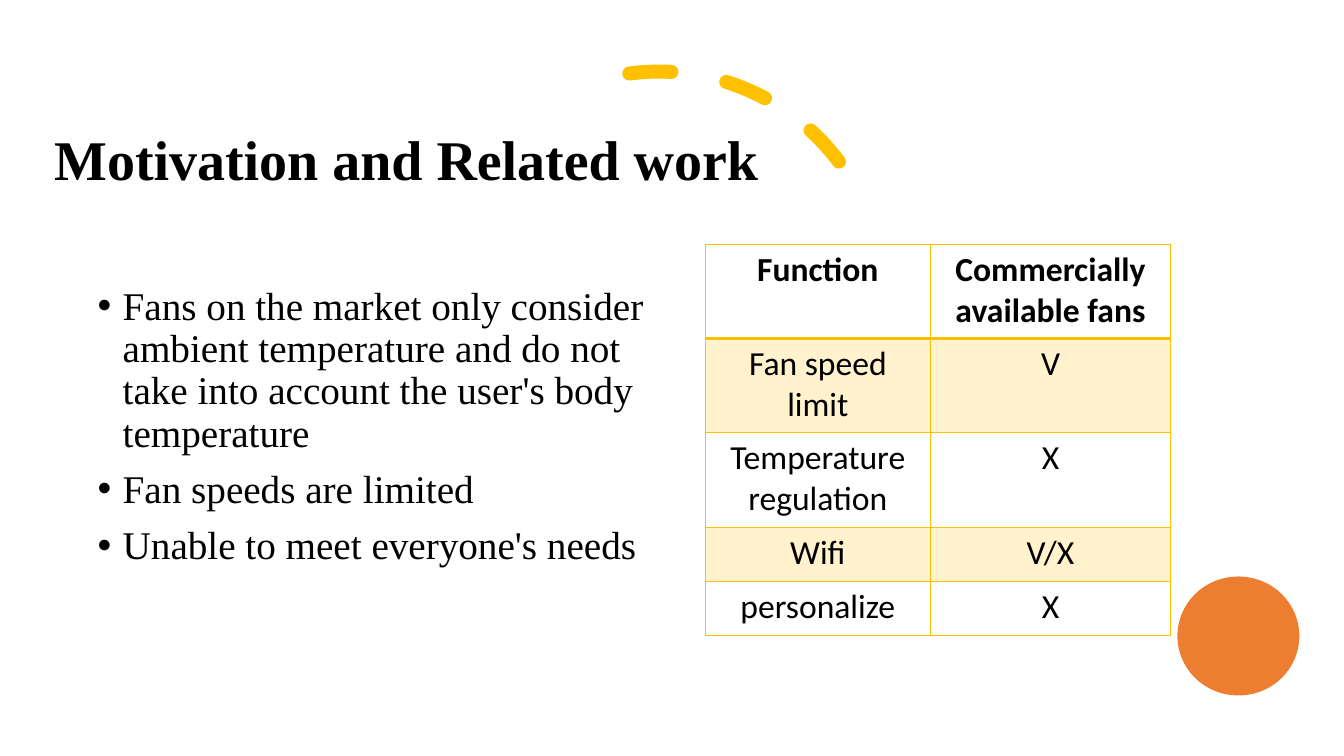
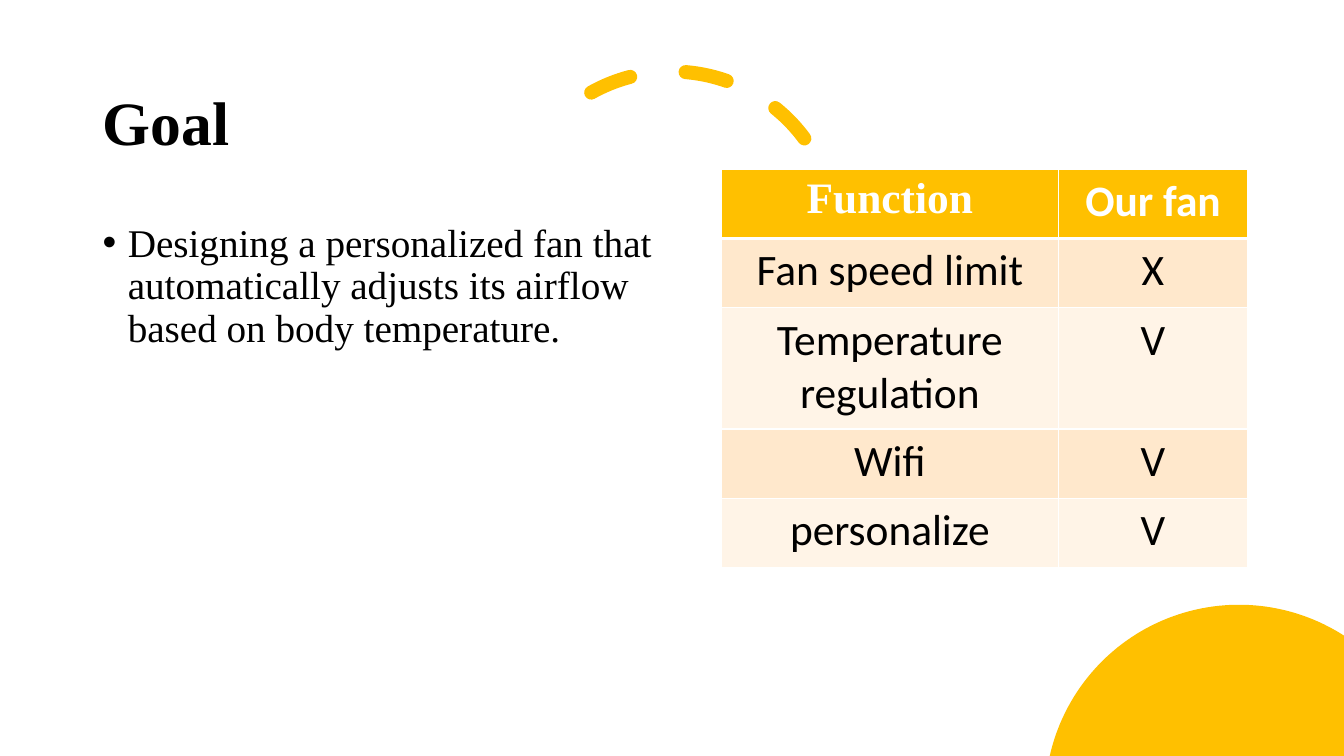
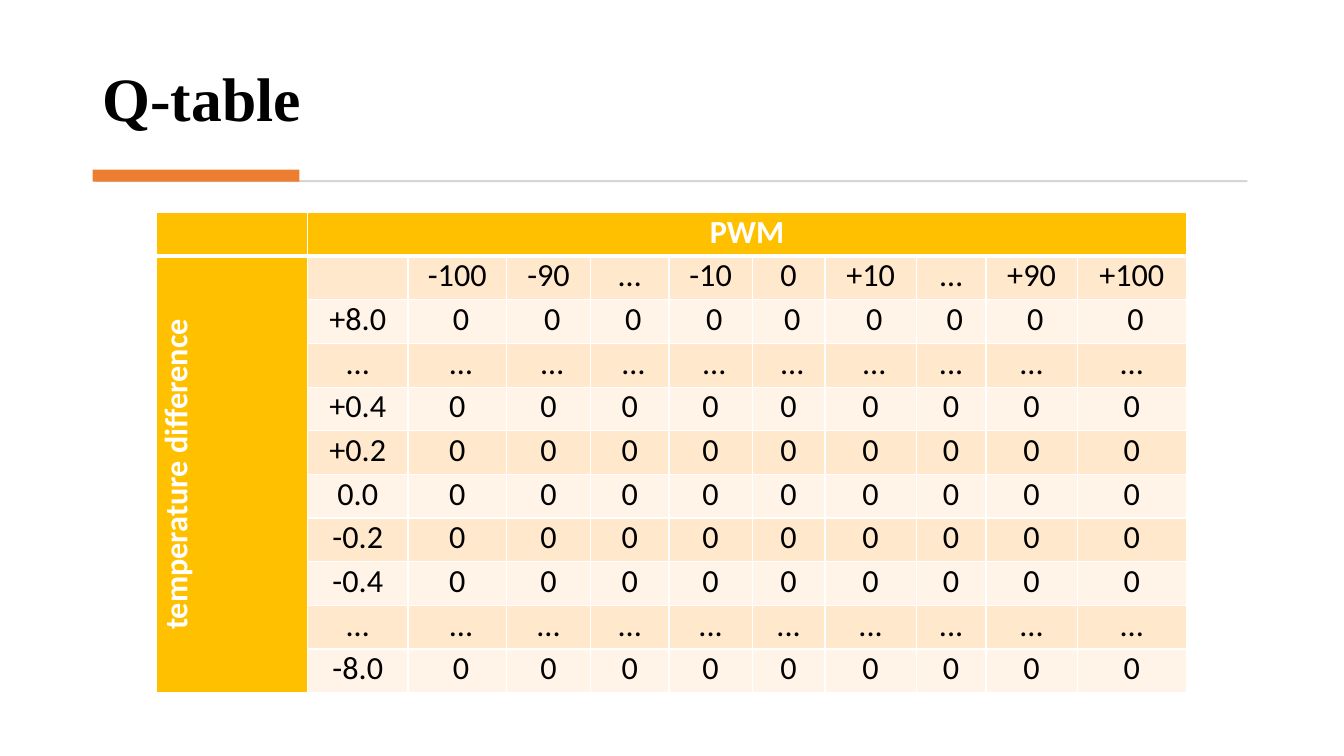
from math import acos, asin, cos, pi, sin

from lxml.etree import SubElement
from pptx import Presentation
from pptx.dml.color import RGBColor
from pptx.enum.dml import MSO_LINE
from pptx.enum.shapes import MSO_SHAPE
from pptx.enum.text import MSO_ANCHOR, PP_ALIGN
from pptx.oxml.ns import qn
from pptx.util import Pt

AMBER = RGBColor(0xFF, 0xC0, 0x00)
ORANGE = RGBColor(0xED, 0x7D, 0x31)
GREY = RGBColor(0xD5, 0xD5, 0xD5)
CREAM = RGBColor(0xFF, 0xF2, 0xCC)
PEACH = RGBColor(0xFF, 0xE8, 0xCC)
PALE = RGBColor(0xFF, 0xF4, 0xE7)
WHITE = RGBColor(0xFF, 0xFF, 0xFF)
BLACK = RGBColor(0x00, 0x00, 0x00)

SERIF, SANS = "Times New Roman", "Calibri"
SLIDE_WIDTH, SLIDE_HEIGHT = 960, 540

MOTIVATION = [
    "Fans on the market only consider ambient temperature and do not take into account the user's body temperature",
    "Fan speeds are limited",
    "Unable to meet everyone's needs",
]
GOAL = ["Designing a personalized fan that automatically adjusts its airflow based on body temperature."]

MARKET_FANS = [
    ["Function", "Commercially available fans"],
    ["Fan speed limit", "V"],
    ["Temperature regulation", "X"],
    ["Wifi", "V/X"],
    ["personalize", "X"],
]
OUR_FAN = [
    ["Function", "Our fan"],
    ["Fan speed limit", "X"],
    ["Temperature regulation", "V"],
    ["Wifi", "V"],
    ["personalize", "V"],
]
ZEROS = ["0"] * 9
Q_VALUES = [
    ["", "PWM"] + [""] * 9,
    ["temperature difference", "", "-100", "-90", "…", "-10", "0", "+10", "…", "+90", "+100"],
    ["", "+8.0"] + [" 0"] * 9,
    ["", "..."] + [" …"] * 3 + [" ..."] * 3 + ["..."] * 3,
    ["", "+0.4"] + ZEROS,
    ["", "+0.2"] + ZEROS,
    ["", "0.0"] + ZEROS,
    ["", "-0.2"] + ZEROS,
    ["", "-0.4"] + ZEROS,
    ["", "…", " ..."] + ["..."] * 8,
    ["", "-8.0", " 0"] + ZEROS[1:],
]

MARKET_STYLE = {
    "size": 24, "margins": (7.2, 3.6), "header_fill": WHITE, "header_text": BLACK,
    "bands": (CREAM, WHITE), "border": AMBER, "header_rule": 2, "header_columns": 0,
}
OUR_STYLE = {
    "size": 31, "margins": (9.36, 4.32), "header_fill": AMBER, "header_text": WHITE,
    "bands": (PEACH, PALE), "border": WHITE, "header_rule": 3, "header_columns": 0,
}
Q_STYLE = {**OUR_STYLE, "size": 23, "margins": (5.04, 0), "header_columns": 1}


def apply_format(target, values):
    for name, value in values.items():
        setattr(target, name, value)


def set_font(font, size, name, color, bold=False):
    apply_format(font, {"size": Pt(size), "name": name, "bold": bold})
    font.color.rgb = color


def points(box):
    return [Pt(length) for length in box]


def add_text(slide, box, anchor):
    frame = slide.shapes.add_textbox(*points(box)).text_frame
    apply_format(frame, {"word_wrap": True, "vertical_anchor": anchor})
    return frame


def add_title(slide, text, box, size=44, anchor=MSO_ANCHOR.MIDDLE):
    paragraph = add_text(slide, box, anchor).paragraphs[0]
    apply_format(paragraph, {"text": text, "line_spacing": 0.9})
    set_font(paragraph.runs[0].font, size, SERIF, BLACK, True)


def add_bullets(slide, items, box):
    frame = add_text(slide, box, MSO_ANCHOR.TOP)
    for index, item in enumerate(items):
        paragraph = frame.add_paragraph() if index else frame.paragraphs[0]
        apply_format(paragraph, {"text": item, "line_spacing": 0.9, "space_before": Pt(10)})
        set_font(paragraph.runs[0].font, 28, SERIF, BLACK)
        properties = paragraph._p.get_or_add_pPr()
        properties.set("marL", str(Pt(18)))
        properties.set("indent", str(-Pt(18)))
        SubElement(properties, qn("a:buFont"), typeface="Arial")
        SubElement(properties, qn("a:buChar"), char="•")


def fill_plain(shape, color):
    shape.shadow.inherit = False
    shape.fill.solid()
    shape.fill.fore_color.rgb = color
    shape.line.fill.background()


def add_plain(slide, kind, box, color):
    fill_plain(slide.shapes.add_shape(kind, *points(box)), color)


def add_dashed_arc(slide, box, angles, rotation=0, flipped=False):
    arc = slide.shapes.add_shape(MSO_SHAPE.ARC, *points(box))
    for index, angle in enumerate(angles):
        arc.adjustments[index] = angle * 0.6
    arc.rotation = rotation
    if flipped:
        arc.element.spPr.find(qn("a:xfrm")).set("flipV", "1")
    arc.shadow.inherit = False
    arc.fill.background()
    arc.line.color.rgb = AMBER
    apply_format(arc.line, {"width": Pt(10), "dash_style": MSO_LINE.DASH})
    arc.line._get_or_add_ln().set("cap", "rnd")


def add_cut_circle(slide, center_x, center_y, radius):
    start = pi - asin((center_y - SLIDE_HEIGHT) / radius)
    end = acos((SLIDE_WIDTH - center_x) / radius)
    steps = 80
    turns = [start + (end - start) * step / steps for step in range(steps + 1)]
    rim = [(center_x + radius * cos(turn), center_y - radius * sin(turn)) for turn in turns]
    outline = [points(corner) for corner in rim + [(SLIDE_WIDTH, SLIDE_HEIGHT)]]
    builder = slide.shapes.build_freeform(*outline[0])
    builder.add_line_segments(outline[1:], close=True)
    fill_plain(builder.convert_to_shape(), AMBER)


def set_borders(cell, color, widths):
    properties = cell._tc.get_or_add_tcPr()
    for side, width in zip("LRTB", widths):
        line = SubElement(properties, qn(f"a:ln{side}"), w=str(Pt(width)))
        solid = SubElement(line, qn("a:solidFill"))
        SubElement(solid, qn("a:srgbClr"), val=str(color))


def add_grid(slide, rows, left, top, widths, heights, style, corner_font=SANS):
    box = points((left, top, sum(widths), sum(heights)))
    grid = slide.shapes.add_table(len(rows), len(widths), *box).table
    apply_format(grid, {"first_row": False, "horz_banding": False})
    for column, width in zip(grid.columns, widths):
        column.width = Pt(width)
    side, edge = points(style["margins"])
    for r, (texts, height) in enumerate(zip(rows, heights)):
        grid.rows[r].height = Pt(height)
        for c, text in enumerate(texts):
            cell = grid.cell(r, c)
            header = r == 0 or c < style["header_columns"]
            above = style["header_rule"] if r == 1 else 1
            below = style["header_rule"] if r == 0 else 1
            set_borders(cell, style["border"], (1, 1, above, below))
            cell.fill.solid()
            cell.fill.fore_color.rgb = style["header_fill"] if header else style["bands"][(r - 1) % 2]
            apply_format(cell, {"margin_left": side, "margin_right": side,
                                "margin_top": edge, "margin_bottom": edge})
            paragraph = cell.text_frame.paragraphs[0]
            apply_format(paragraph, {"text": text, "alignment": PP_ALIGN.CENTER})
            font = paragraph.runs[0].font if text else paragraph.font
            set_font(font, style["size"], corner_font if r == c == 0 else SANS,
                     style["header_text"] if header else BLACK, header)
    return grid


def build_motivation(slide):
    add_dashed_arc(slide, (309.6, 51.1, 321.8, 321.8), (270, 334.89), 233.1, True)
    add_title(slide, "Motivation and Related work", (31.7, 64.1, 828, 104.4), 40)
    add_bullets(slide, MOTIVATION, (62.6, 200.9, 424.8, 342.7))
    add_plain(slide, MSO_SHAPE.OVAL, (841, 411.8, 87.1, 85), ORANGE)
    add_grid(slide, MARKET_FANS, 504, 174.4, (160.4, 172), [67.4] * 3 + [38.7] * 2, MARKET_STYLE)


def build_goal(slide):
    add_cut_circle(slide, 885, 570.6, 138.6)
    add_dashed_arc(slide, (362.2, 51.1, 235.4, 235.4), (240.7, 0))
    add_title(slide, "Goal", (66.2, 37.4, 414, 104.4))
    add_bullets(slide, GOAL, (66.2, 156.2, 414, 329.8))
    add_grid(slide, OUR_FAN, 515.2, 120.8, (240.8, 135.2), [49.5] * 2 + [86.6] + [49.5] * 2,
             OUR_STYLE, SERIF)


def build_q_table(slide):
    add_title(slide, "Q-table", (66.2, 20.2, 827.3, 79.9), anchor=MSO_ANCHOR.BOTTOM)
    add_plain(slide, MSO_SHAPE.RECTANGLE, (68.4, 128.7, 822.6, 1.4), GREY)
    add_plain(slide, MSO_SHAPE.RECTANGLE, (66.2, 121.2, 147.6, 8.6), ORANGE)
    widths = (108, 71.6, 70.6, 59.8, 56.2, 59.4, 52, 65.2, 49.8, 65.2, 78)
    grid = add_grid(slide, Q_VALUES, 111.8, 151.8, widths, [31.2] * len(Q_VALUES), Q_STYLE)
    grid.cell(0, 1).merge(grid.cell(0, 10))
    grid.cell(1, 0).merge(grid.cell(10, 0))
    grid.cell(1, 0)._tc.get_or_add_tcPr().set("vert", "vert270")


def main():
    deck = Presentation()
    apply_format(deck, {"slide_width": Pt(SLIDE_WIDTH), "slide_height": Pt(SLIDE_HEIGHT)})
    for build in (build_motivation, build_goal, build_q_table):
        build(deck.slides.add_slide(deck.slide_layouts[6]))
    deck.save("out.pptx")


if __name__ == "__main__":
    main()
